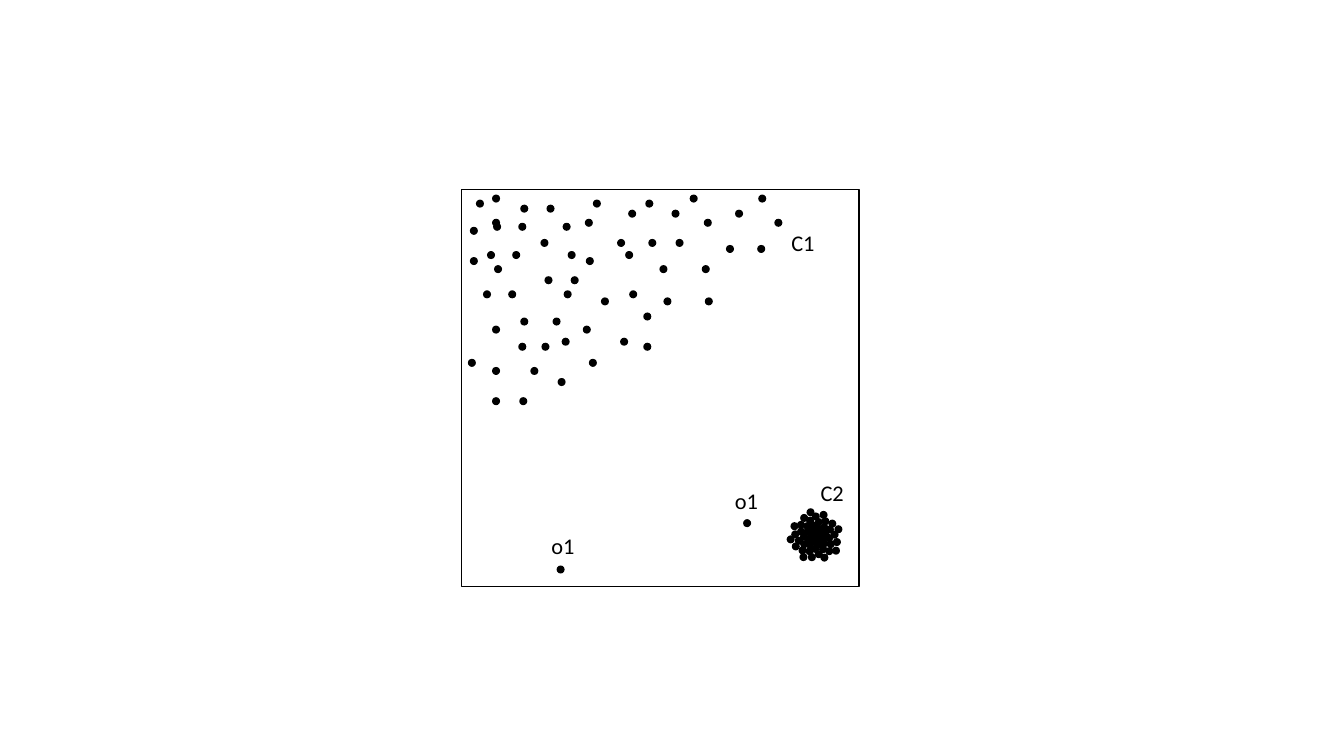
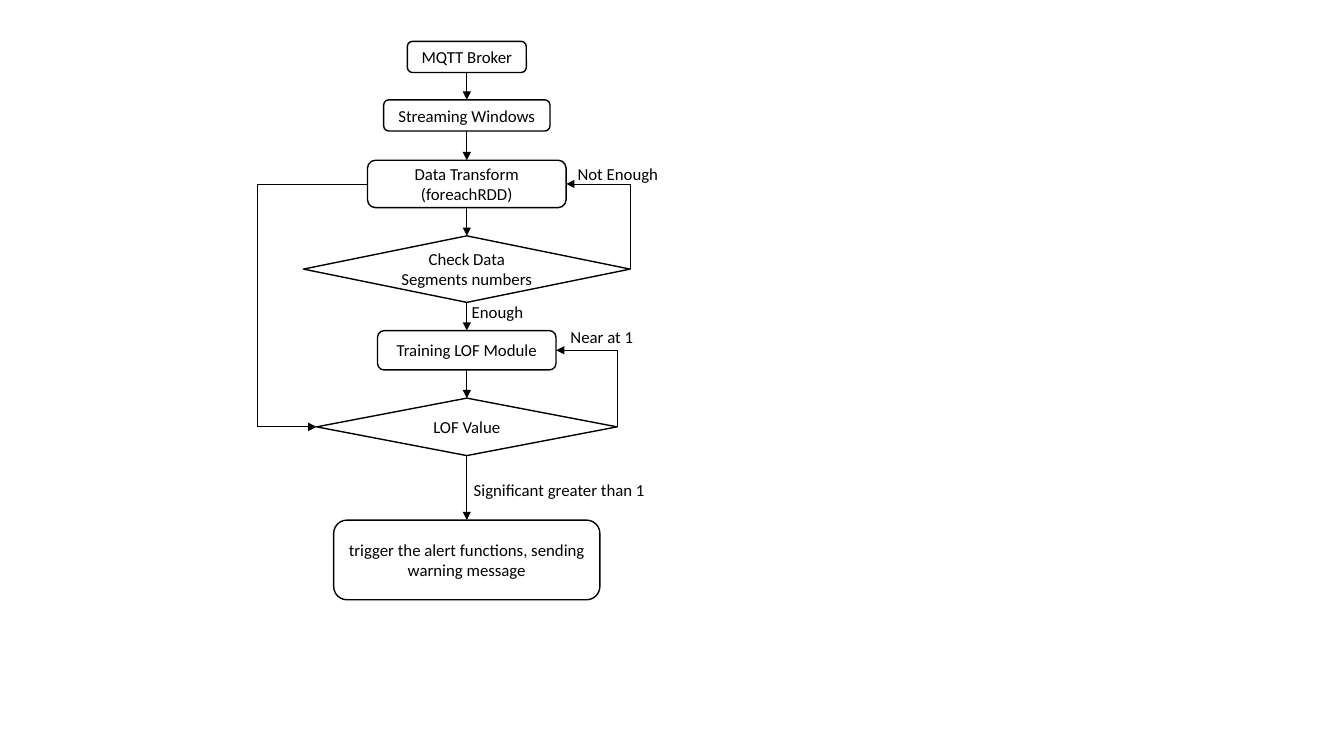
from math import cos, pi, sin, sqrt
from pptx import Presentation
from pptx.dml.color import RGBColor
from pptx.enum.shapes import MSO_CONNECTOR, MSO_SHAPE
from pptx.enum.text import MSO_ANCHOR, MSO_AUTO_SIZE, PP_ALIGN
from pptx.oxml.ns import qn
from pptx.util import Inches, Pt
from lxml.etree import SubElement

# Shared look
COLORS = {"ink": "000000", "paper": "FFFFFF"}
INK = RGBColor.from_string(COLORS["ink"])
PAPER = RGBColor.from_string(COLORS["paper"])
FONT = "Calibri"

deck = Presentation()
deck.slide_width, deck.slide_height = Inches(13.33), Inches(7.5)
blank = deck.slide_layouts[6]


def write(shape, text, size, align=PP_ALIGN.LEFT):
    frame = shape.text_frame
    for i, line in enumerate(text.split("\n")):
        para = frame.add_paragraph() if i else frame.paragraphs[0]
        para.alignment = align
        run = para.add_run()
        run.text = line
        run.font.name, run.font.size = FONT, Pt(size)
        run.font.color.rgb = INK


def route(shapes, points):
    """Draw straight segments through the points, with an arrow on the last."""
    for start, end in zip(points, points[1:]):
        line = shapes.add_connector(MSO_CONNECTOR.STRAIGHT, *start, *end)
        line.line.color.rgb, line.line.width = INK, Pt(0.5)
        props = line.line._get_or_add_ln()
        SubElement(line._element.spPr, qn("a:effectLst"))
    SubElement(props, qn("a:tailEnd"), type="triangle")
    return line


# Slide 1: scatter of two clusters and two outliers
plot = deck.slides.add_slide(blank).shapes
SIDE = Inches(3.94)
field = plot.add_shape(MSO_SHAPE.RECTANGLE, Inches(4.58), Inches(1.88), SIDE, SIDE)
field.shadow.inherit = False
field.fill.solid()
field.fill.fore_color.rgb = PAPER
field.line.color.rgb, field.line.width = INK, Pt(1)

# Cluster C1: loose data, the lefts of the dots on each row, keyed by its top
rows = {
    1.93: [4.88, 6.84, 7.52],
    1.98: [4.72, 5.88, 6.4],
    2.03: [5.16, 5.42],
    2.08: [6.23, 6.66, 7.29],
    2.17: [4.88, 5.8, 6.98, 7.68],
    2.21: [4.89, 5.14, 5.58],
    2.25: [4.66],
    2.37: [5.36, 6.12, 6.43, 6.7],
    2.43: [7.2, 7.51],
    2.49: [4.83, 5.08, 5.63, 6.2],
    2.55: [4.66, 5.81],
    2.63: [4.9, 6.54, 6.96],
    2.74: [5.4, 5.66],
    2.88: [4.79, 5.04, 5.59, 6.24],
    2.95: [5.96, 6.58, 6.99],
    3.1: [6.38],
    3.15: [5.16, 5.48],
    3.23: [4.88, 5.78],
    3.35: [5.57, 6.15],
    3.4: [5.14, 5.37, 6.38],
    3.56: [4.64, 5.84],
    3.64: [4.88, 5.26],
    3.75: [5.53],
    3.94: [4.88, 5.15],
}
loose = [(x, y) for y, lefts in rows.items() for x in lefts]

# Cluster C2: a spiral that turns by the golden angle and thins outwards
COUNT, REACH = 52, 0.25
CORE_X, CORE_Y = 8.05, 5.28
TURN = pi * (3 - sqrt(5))
tight = []
for i in range(COUNT):
    far = REACH * (i / (COUNT - 1)) ** 0.7
    tight.append((CORE_X + far * cos(i * TURN), CORE_Y + far * sin(i * TURN)))

# Outliers
lone = [(7.37, 5.15), (5.52, 5.61)]

DOT = Inches(0.08)
for x, y in loose + tight + lone:
    dot = plot.add_shape(MSO_SHAPE.FLOWCHART_CONNECTOR, Inches(x), Inches(y), DOT, DOT)
    dot.shadow.inherit = False
    dot.fill.solid()
    dot.fill.fore_color.rgb = INK
    dot.line.fill.background()

# Slide 2: flow chart, one step below the other
flow = deck.slides.add_slide(blank).shapes
MID = 4.63
BOX, TEST = MSO_SHAPE.FLOWCHART_ALTERNATE_PROCESS, MSO_SHAPE.FLOWCHART_DECISION
steps = []
for text, kind, top, wide, high in [
    ("MQTT Broker", BOX, 0.41, 1.18, 0.31),
    ("Streaming Windows", BOX, 0.99, 1.65, 0.31),
    ("Data Transform\n(foreachRDD)", BOX, 1.59, 1.97, 0.47),
    ("Check Data Segments numbers", TEST, 2.34, 3.24, 0.66),
    ("Training LOF Module", BOX, 3.28, 1.77, 0.39),
    ("LOF Value", TEST, 3.95, 2.98, 0.57),
    ("trigger the alert functions, sending warning message",
     BOX, 5.16, 2.64, 0.79),
]:
    step = flow.add_shape(kind, Inches(MID - wide / 2), Inches(top),
                          Inches(wide), Inches(high))
    step.shadow.inherit = False
    step.fill.solid()
    step.fill.fore_color.rgb = PAPER
    step.line.color.rgb, step.line.width = INK, Pt(1)
    step.text_frame.word_wrap = True
    step.text_frame.vertical_anchor = MSO_ANCHOR.MIDDLE
    write(step, text, 12, PP_ALIGN.CENTER)
    steps.append(step)

# Arrows down, from bottom site to top site
TOP, BOTTOM = 0, 2
for upper, lower in zip(steps, steps[1:]):
    arrow = route(flow, [(Inches(MID), upper.top + upper.height),
                         (Inches(MID), lower.top)])
    arrow.begin_connect(upper, BOTTOM)
    arrow.end_connect(lower, TOP)

# Loops back on the right, and the bypass on the left
data, check, train, value = steps[2:6]
for low, high in [(check, data), (value, train)]:
    edge = low.left + low.width
    level = high.top + high.height // 2
    route(flow, [(edge, low.top + low.height // 2), (edge, level),
                 (high.left + high.width, level)])
lane = Inches(2.55)
start, end = [step.top + step.height // 2 for step in (data, value)]
route(flow, [(data.left, start), (lane, start), (lane, end), (value.left, end)])

# Labels of both slides: size and height per slide, then text, left, top, width
for place, size, high, labels in [
    (plot, 16, 0.37, [
        ("C1", 7.75, 2.22, 0.44),
        ("C2", 8.04, 4.7, 0.44),
        ("o1", 7.19, 4.78, 0.44),
        ("o1", 5.37, 5.23, 0.44),
    ]),
    (flow, 12, 0.3, [
        ("Not Enough", 5.63, 1.58, 1.01),
        ("Enough", 4.58, 2.94, 0.72),
        ("Near at 1", 5.56, 3.19, 0.83),
        ("Significant greater than 1", 4.6, 4.71, 1.91),
    ]),
]:
    for text, x, y, wide in labels:
        label = place.add_textbox(Inches(x), Inches(y), Inches(wide), Inches(high))
        label.text_frame.word_wrap = False
        label.text_frame.auto_size = MSO_AUTO_SIZE.SHAPE_TO_FIT_TEXT
        write(label, text, size)

deck.save("out.pptx")
